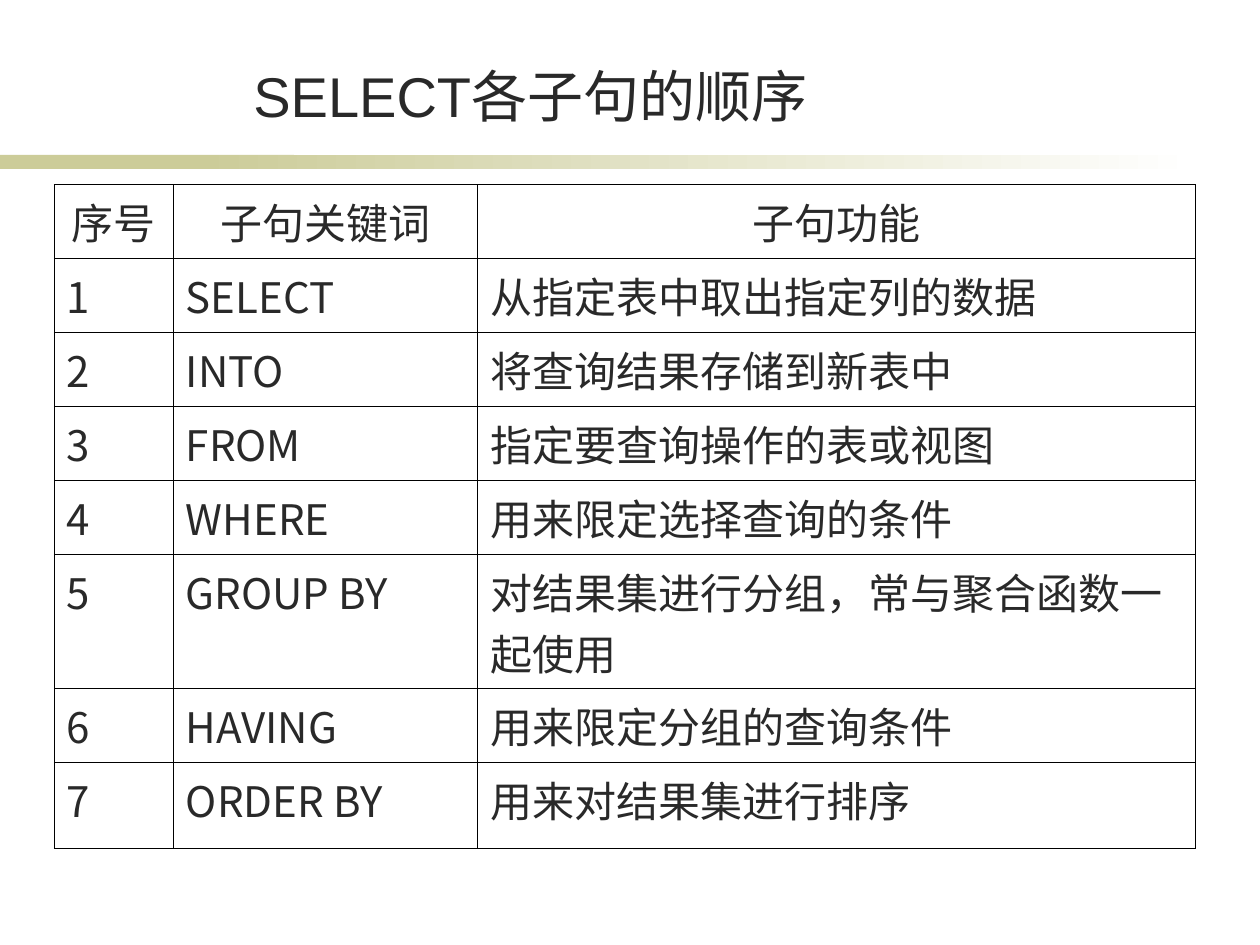
"""Build a slide with a table of SELECT clauses in their order."""
from lxml import etree
from pptx import Presentation
from pptx.dml.color import RGBColor
from pptx.enum import shapes, text
from pptx.oxml import ns
from pptx.util import Pt

INK = RGBColor(0x29, 0x29, 0x29)
OLIVE = RGBColor(0xCC, 0xCC, 0x99)
WHITE = RGBColor(0xFF, 0xFF, 0xFF)
BORDER = RGBColor(0x00, 0x00, 0x00)
CJK_FONT = "Noto Sans CJK SC"
CLAUSES = [
    ("序号", "子句关键词", "子句功能"),
    ("1", "SELECT", "从指定表中取出指定列的数据"),
    ("2", "INTO", "将查询结果存储到新表中"),
    ("3", "FROM", "指定要查询操作的表或视图"),
    ("4", "WHERE", "用来限定选择查询的条件"),
    ("5", "GROUP BY", "对结果集进行分组，常与聚合函数一起使用"),
    ("6", "HAVING", "用来限定分组的查询条件"),
    ("7", "ORDER BY", "用来对结果集进行排序"),
]
COLUMN_WIDTHS = [68, 174, 410]
ROW_HEIGHTS = [42.3] * 5 + [76.6, 42.3, 49]


def write(frame, words, size, font, align):
    para = frame.paragraphs[0]
    para.alignment = align
    span = para.add_run()
    span.text = words
    span.font.size = Pt(size)
    span.font.name = font
    span.font.color.rgb = INK
    east_asian = etree.SubElement(span.font._element, ns.qn("a:ea"))
    east_asian.set("typeface", CJK_FONT)


def draw_borders(cell):
    properties = cell._tc.get_or_add_tcPr()
    for index, side in enumerate(("lnL", "lnR", "lnT", "lnB")):
        line = etree.Element(ns.qn(f"a:{side}"), w=str(Pt(0.45)))
        fill = etree.SubElement(line, ns.qn("a:solidFill"))
        etree.SubElement(fill, ns.qn("a:srgbClr"), val=str(BORDER))
        properties.insert(index, line)


deck = Presentation()
deck.slide_width, deck.slide_height = Pt(720), Pt(540)
page = deck.slides.add_slide(deck.slide_layouts[6])

bars = []
for left, width in ((0, 168), (114, 570)):
    bar = page.shapes.add_shape(
        shapes.MSO_SHAPE.RECTANGLE, Pt(left), Pt(88.5), Pt(width), Pt(8))
    bar.shadow.inherit = False
    bar.line.fill.background()
    bars.append(bar)
solid_bar, fading_bar = bars
solid_bar.fill.solid()
solid_bar.fill.fore_color.rgb = OLIVE
fading_bar.fill.gradient()
fading_bar.fill.gradient_angle = 0
for stop, color in zip(fading_bar.fill.gradient_stops, (OLIVE, WHITE)):
    stop.color.rgb = color

title = page.shapes.add_textbox(Pt(82), Pt(31.5), Pt(442.5), Pt(45.5)).text_frame
title.word_wrap = True
title.vertical_anchor = text.MSO_ANCHOR.BOTTOM
title.margin_top, title.margin_bottom = 0, Pt(3.6)
write(title, "SELECT各子句的顺序", 32, "Arial", text.PP_ALIGN.CENTER)

table = page.shapes.add_table(
    len(CLAUSES), len(COLUMN_WIDTHS), Pt(31), Pt(105.5),
    Pt(sum(COLUMN_WIDTHS)), Pt(sum(ROW_HEIGHTS))).table
table.first_row = table.horz_banding = False
for column, width in zip(table.columns, COLUMN_WIDTHS):
    column.width = Pt(width)
for row_index, (row, clause) in enumerate(zip(table.rows, CLAUSES)):
    row.height = Pt(ROW_HEIGHTS[row_index])
    align = text.PP_ALIGN.LEFT if row_index else text.PP_ALIGN.CENTER
    for cell, words in zip(row.cells, clause):
        cell.fill.background()
        draw_borders(cell)
        write(cell.text_frame, words, 24, CJK_FONT, align)

deck.save("out.pptx")
